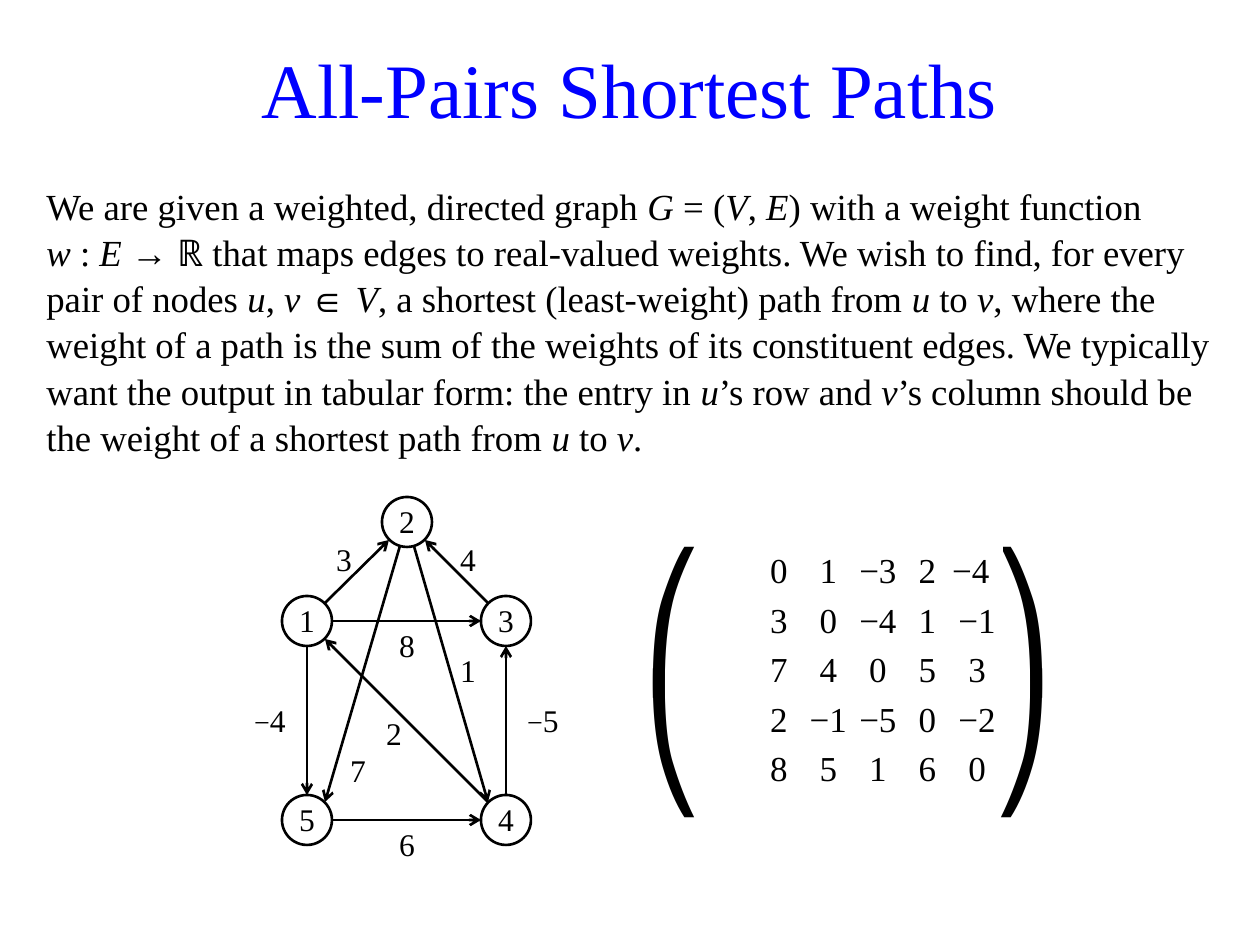
import pptx
import pptx.dml.color
import pptx.enum.shapes
import pptx.enum.text
import pptx.oxml.ns
import pptx.util
from lxml import etree

PX = 914400 / 126
BLACK = pptx.dml.color.RGBColor(0, 0, 0)
WHITE = pptx.dml.color.RGBColor(255, 255, 255)
BLUE = pptx.dml.color.RGBColor(0, 0, 255)
SERIF = "Times New Roman"
CENTER = pptx.enum.text.PP_ALIGN.CENTER
LEFT = pptx.enum.text.PP_ALIGN.LEFT
TOP = pptx.enum.text.MSO_ANCHOR.TOP
MIDDLE = pptx.enum.text.MSO_ANCHOR.MIDDLE
BOTTOM = pptx.enum.text.MSO_ANCHOR.BOTTOM


def px(*lengths):
    return [round(n * PX) for n in lengths]


def add_run(p, text, size, font=SERIF, color=BLACK, italic=False):
    r = p.add_run()
    r.text = text
    values = {"size": pptx.util.Pt(size), "name": font, "italic": italic}
    for key, value in values.items():
        setattr(r.font, key, value)
    r.font.color.rgb = color


prs = pptx.Presentation()
prs.slide_width, prs.slide_height = px(1260, 945)
s = prs.slides.add_slide(prs.slide_layouts[5])

# Title
sp = s.shapes.title
sp.left, sp.top, sp.width, sp.height = px(59, 26, 1142, 123)
sp.text_frame.vertical_anchor = MIDDLE
p = sp.text_frame.paragraphs[0]
p.alignment = CENTER
add_run(p, "All-Pairs Shortest Paths", 44, color=BLUE)

# Problem statement: asterisks enclose italics, a newline is a line break
statement = (
    "We are given a weighted, directed graph *G *= (*V*, *E*) with a weight function\n"
    "*w *: *E *→ ℝ that maps edges to real-valued weights. We wish to find, for every "
    "pair of nodes *u*, *v *∈ *V*, a shortest (least-weight) path from *u* to *v*, "
    "where the weight of a path is the sum of the weights of its constituent edges. "
    "We typically want the output in tabular form: the entry in *u*’s row and *v*’s "
    "column should be the weight of a shortest path from *u* to *v*."
)
tf = s.shapes.add_textbox(*px(34, 175, 1191, 694)).text_frame
tf.word_wrap = True
p = tf.paragraphs[0]
p.line_spacing = 1.05
for n, line in enumerate(statement.split("\n")):
    if n:
        p.add_line_break()
    for i, part in enumerate(line.split("*")):
        if part:
            add_run(p, part, 21, italic=i % 2 == 1)

# Matrix brackets, each made of an upper and a lower half
for left, halves in ((978, "⎞⎠"), (630, "⎛⎝")):
    tf = s.shapes.add_textbox(*px(left, 522, 149, 297)).text_frame
    values = {"word_wrap": True, "margin_top": pptx.util.Inches(0.15), "margin_bottom": 0,
              "auto_size": pptx.enum.text.MSO_AUTO_SIZE.SHAPE_TO_FIT_TEXT}
    for key, value in values.items():
        setattr(tf, key, value)
    add_run(tf.paragraphs[0], halves[0], 72, "Noto Sans CJK JP")
    p = tf.add_paragraph()
    p.line_spacing = pptx.util.Pt(69)
    add_run(p, halves[1], 72, "Noto Sans CJK JP")

# Matrix of shortest path weights
weights = ["0 1 −3 2 −4", "3 0 −4 1 −1", "7 4 0 5 3", "2 −1 −5 0 −2", "8 5 1 6 0"]
table = s.shapes.add_table(5, 5, *px(754, 547, 248, 248)).table
table.first_row = table.horz_banding = False
for i, row in enumerate(weights):
    for j, weight in enumerate(row.split()):
        cell = table.cell(i, j)
        cell.fill.background()
        cell.vertical_anchor = MIDDLE
        for side in ("left", "top", "right", "bottom"):
            setattr(cell, "margin_" + side, 0)
        p = cell.text_frame.paragraphs[0]
        p.alignment = LEFT if (i, j) == (0, 4) else CENTER
        add_run(p, weight, 20)

# Graph: edges out of node 2 start at its centre, behind the node
nodes = {"2": (407, 522), "1": (307, 621), "3": (506, 621), "5": (307, 820), "4": (506, 820)}
RADIUS, DIAGONAL = 25, 18
for item in ("2>4", "2>5", *nodes, "1>2", "3>2", "1>3", "4>3", "1>5", "5>4", "4>1"):
    if item in nodes:
        x, y = nodes[item]
        sp = s.shapes.add_shape(pptx.enum.shapes.MSO_SHAPE.OVAL,
                                *px(x - RADIUS, y - RADIUS, 2 * RADIUS, 2 * RADIUS))
        sp.shadow.inherit = False
        sp.fill.solid()
        sp.fill.fore_color.rgb = WHITE
        tf = sp.text_frame
        values = {"word_wrap": False, "vertical_anchor": BOTTOM, "margin_left": 0,
                  "margin_top": 0, "margin_right": 0, "margin_bottom": 0}
        for key, value in values.items():
            setattr(tf, key, value)
        add_run(tf.paragraphs[0], item, 18)
    else:
        start, end = item.split(">")
        (x1, y1), (x2, y2) = nodes[start], nodes[end]
        dx, dy = (x2 > x1) - (x2 < x1), (y2 > y1) - (y2 < y1)
        gap = DIAGONAL if dx and dy else RADIUS
        first = 0 if start == "2" else gap
        sp = s.shapes.add_connector(
            pptx.enum.shapes.MSO_CONNECTOR.STRAIGHT,
            *px(x1 + first * dx, y1 + first * dy, x2 - gap * dx, y2 - gap * dy))
        ln = sp.line._get_or_add_ln()
        etree.SubElement(ln, pptx.oxml.ns.qn("a:tailEnd"), type="arrow")
        etree.SubElement(sp._element.spPr, pptx.oxml.ns.qn("a:effectLst"))
    sp.line.color.rgb = BLACK
    sp.line.width = pptx.util.Pt(1.5)

# Edge weights
labels = [
    ("3", 307, 522, 74, 74, MIDDLE), ("−4", 233, 696, 74, 50, TOP),
    ("−5", 506, 696, 74, 50, TOP), ("6", 382, 820, 50, 50, TOP),
    ("7", 333, 746, 50, 50, TOP), ("2", 357, 696, 74, 74, MIDDLE),
    ("8", 382, 621, 50, 50, TOP), ("1", 431, 646, 74, 50, TOP),
    ("4", 431, 522, 74, 74, MIDDLE),
]
for text, x, y, width, height, anchor in labels:
    tf = s.shapes.add_textbox(*px(x, y, width, height)).text_frame
    values = {"word_wrap": True, "vertical_anchor": anchor,
              "margin_top": pptx.util.Inches(0.04), "margin_bottom": pptx.util.Inches(0.04)}
    for key, value in values.items():
        setattr(tf, key, value)
    p = tf.paragraphs[0]
    p.alignment = CENTER
    for char in text:
        add_run(p, char, 16 if char == "−" else 18)

prs.save("out.pptx")
